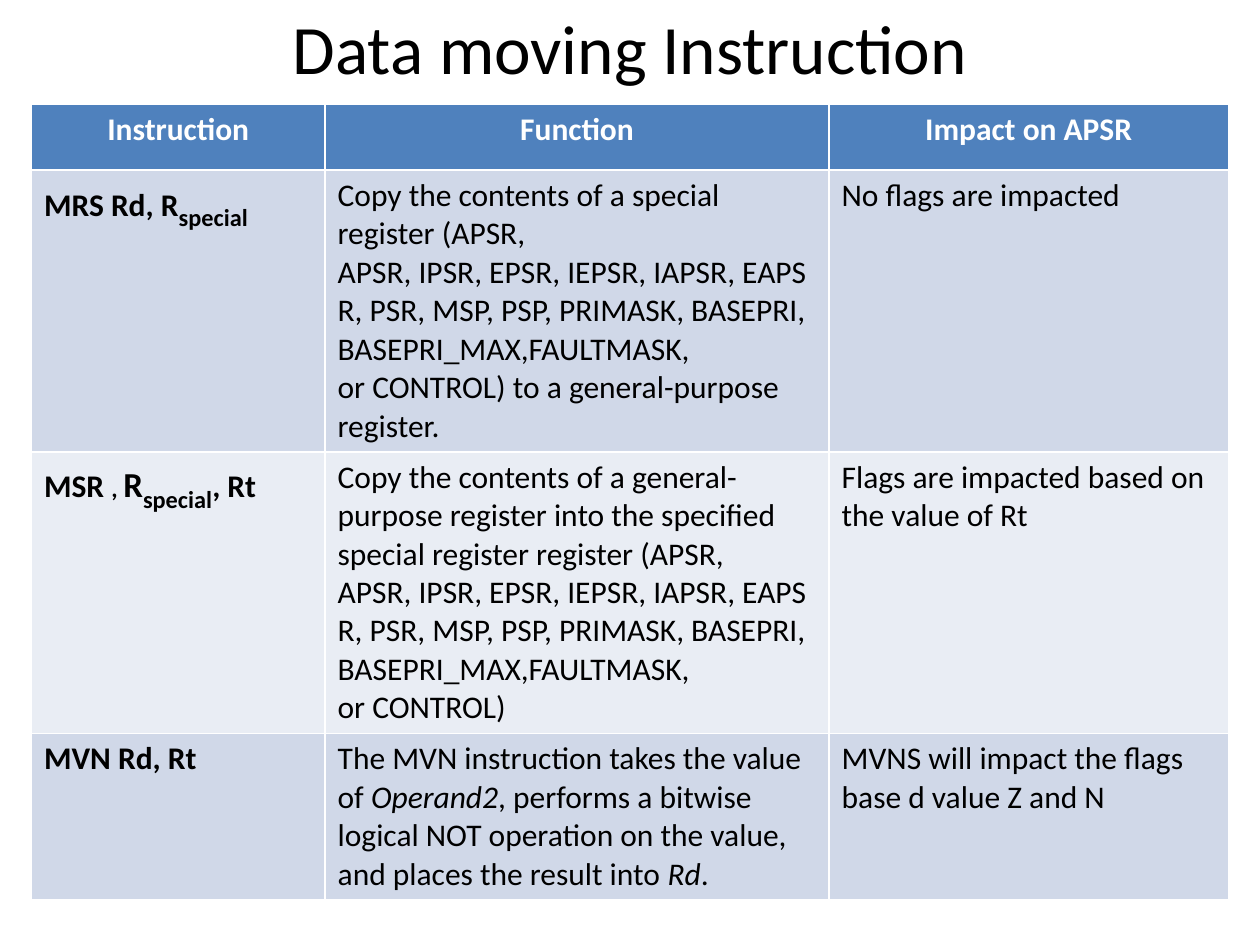
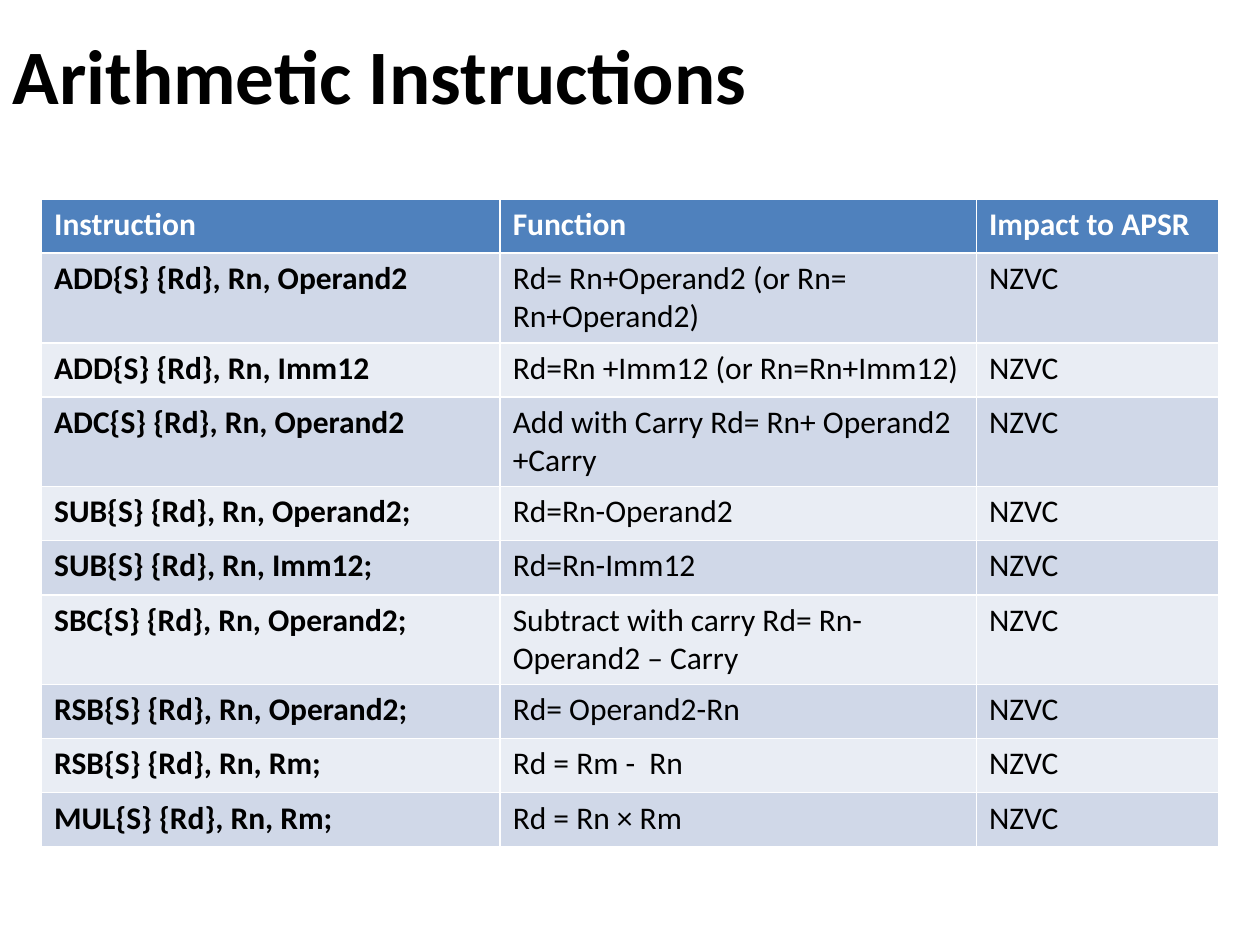
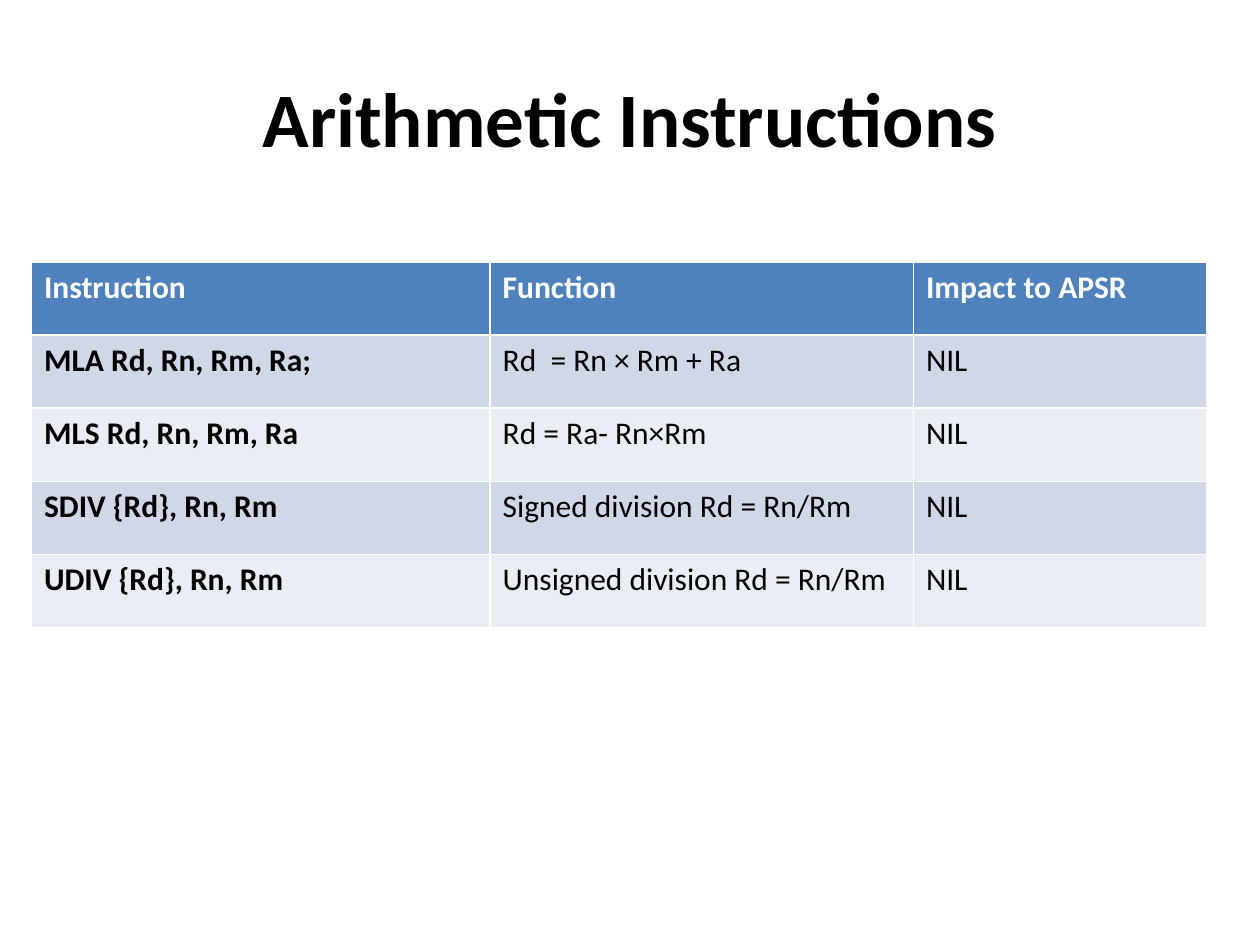
import pptx
import pptx.util
import pptx.dml.color
import pptx.enum.text

Inches = pptx.util.Inches
Pt = pptx.util.Pt
ALIGN = pptx.enum.text.PP_ALIGN

COLORS = {"header": "4F81BD", "odd": "D0D8E8", "even": "E9EDF4", "text": "000000", "header_text": "FFFFFF"}
FONT = "Calibri"
BODY_SIZE = 18
NBSP = chr(160)

SPECIAL = ("special", {"size": 24, "baseline": -25})
ITALIC = {"italic": True}
REGISTERS = ["APSR", "IPSR", "EPSR", "IEPSR", "IAPSR", "EAPSR", "PSR", "MSP", "PSP",
             "PRIMASK", "BASEPRI", "BASEPRI_MAX,FAULTMASK"]
REGISTER_LIST = f"(APSR, {f',{NBSP}'.join(REGISTERS)}, or{NBSP}CONTROL)"

MOVING = [
    ["Instruction", "Function", "Impact on APSR"],
    [["MRS Rd, R", SPECIAL],
     f"Copy the contents of a special register {REGISTER_LIST} to a general-purpose register.",
     "No flags are impacted"],
    [["MSR ", (", ", {"size": 14}), ("R", {"size": 20}), SPECIAL, ", Rt"],
     f"Copy the contents of a general-purpose register into the specified special register register {REGISTER_LIST}",
     "Flags are impacted based on the value of Rt"],
    ["MVN Rd, Rt",
     [f"The{NBSP}MVN{NBSP}instruction takes the value of{NBSP}", ("Operand2", ITALIC),
      f", performs a bitwise logical NOT operation on the value, and places the result into{NBSP}",
      ("Rd", ITALIC), "."],
     "MVNS will impact the flags base d value Z and N"],
]

ARITHMETIC_HEADER = ["Instruction", "Function", "Impact to APSR"]
FLAGGED = [
    ("ADD{S} {Rd}, Rn, Operand2", "Rd= Rn+Operand2 (or Rn= Rn+Operand2)"),
    ("ADD{S} {Rd}, Rn, Imm12", "Rd=Rn +Imm12 (or Rn=Rn+Imm12)"),
    ("ADC{S} {Rd}, Rn, Operand2", "Add with Carry Rd= Rn+ Operand2 +Carry"),
    ("SUB{S} {Rd}, Rn, Operand2;", "Rd=Rn-Operand2"),
    ("SUB{S} {Rd}, Rn, Imm12;", "Rd=Rn-Imm12"),
    ("SBC{S} {Rd}, Rn, Operand2;", "Subtract with carry Rd= Rn-Operand2 – Carry"),
    ("RSB{S} {Rd}, Rn, Operand2;", "Rd= Operand2-Rn"),
    ("RSB{S} {Rd}, Rn, Rm;", "Rd = Rm -  Rn"),
    ("MUL{S} {Rd}, Rn, Rm;", "Rd = Rn × Rm"),
]
UNFLAGGED = [
    ("MLA Rd, Rn, Rm, Ra;", "Rd  = Rn × Rm + Ra"),
    ("MLS Rd, Rn, Rm, Ra", "Rd = Ra- Rn×Rm"),
    ("SDIV {Rd}, Rn, Rm", "Signed division Rd = Rn/Rm"),
    ("UDIV {Rd}, Rn, Rm", "Unsigned division Rd = Rn/Rm"),
]

SLIDES = [
    {"title": "Data moving Instruction", "title_box": (0.5, 0, 9, 0.75), "title_size": 39.6,
     "title_bold": False, "title_align": ALIGN.CENTER, "header_align": ALIGN.CENTER,
     "rows": MOVING, "origin": (0.25, 0.83), "columns": (2.33, 4, 3.17), "row_height": 0.52},
    {"title": "Arithmetic Instructions", "title_box": (0, 0, 7.33, 1.17), "title_size": 44,
     "title_bold": True, "title_align": ALIGN.LEFT, "header_align": ALIGN.LEFT,
     "rows": [ARITHMETIC_HEADER] + [[*row, "NZVC"] for row in FLAGGED],
     "origin": (0.33, 1.58), "columns": (3.64, 3.78, 1.92), "row_height": 0.43},
    {"title": "Arithmetic Instructions", "title_box": (0.5, 0.3, 9, 1.25), "title_size": 44,
     "title_bold": True, "title_align": ALIGN.CENTER, "header_align": ALIGN.LEFT,
     "rows": [ARITHMETIC_HEADER] + [[*row, "NIL"] for row in UNFLAGGED],
     "origin": (0.25, 2.08), "columns": (3.64, 3.36, 2.33), "row_height": 0.58},
]


def rgb(name):
    return pptx.dml.color.RGBColor.from_string(COLORS[name])


def add_run(p, text, size=BODY_SIZE, color="text", bold=False, italic=False, baseline=0):
    r = p.add_run()
    r.text = text
    r.font.name = FONT
    r.font.size = Pt(size)
    r.font.bold = bold
    r.font.italic = italic
    r.font.color.rgb = rgb(color)
    if baseline:
        r._r.get_or_add_rPr().set("baseline", str(baseline * 1000))


def add_title(s, content):
    sp = s.shapes.title
    sp.left, sp.top, sp.width, sp.height = map(Inches, content["title_box"])
    tf = sp.text_frame
    tf.auto_size = pptx.enum.text.MSO_AUTO_SIZE.NONE
    tf.vertical_anchor = pptx.enum.text.MSO_ANCHOR.MIDDLE
    p = tf.paragraphs[0]
    p.alignment = content["title_align"]
    add_run(p, content["title"], content["title_size"], bold=content["title_bold"])


def fill_cell(cell, runs, fill, align, color, bold):
    cell.fill.solid()
    cell.fill.fore_color.rgb = rgb(fill)
    p = cell.text_frame.paragraphs[0]
    p.alignment = align
    for run in [runs] if isinstance(runs, str) else runs:
        text, style = (run, {}) if isinstance(run, str) else run
        add_run(p, text, color=color, bold=bold, **style)


def add_instruction_table(s, content):
    rows, columns = content["rows"], content["columns"]
    left, top = content["origin"]
    height = content["row_height"]
    table = s.shapes.add_table(len(rows), len(columns), Inches(left), Inches(top),
                               Inches(sum(columns)), Inches(height * len(rows))).table
    for column, width in zip(table.columns, columns):
        column.width = Inches(width)
    for i, row in enumerate(rows):
        table.rows[i].height = Inches(height)
        header = i == 0
        fill = "header" if header else "odd" if i % 2 else "even"
        align = content["header_align"] if header else ALIGN.LEFT
        color = "header_text" if header else "text"
        for j, runs in enumerate(row):
            fill_cell(table.cell(i, j), runs, fill, align, color, header or j == 0)


def main():
    prs = pptx.Presentation()
    prs.slide_width, prs.slide_height = Inches(10), Inches(7.5)
    for content in SLIDES:
        s = prs.slides.add_slide(prs.slide_layouts[5])
        add_title(s, content)
        add_instruction_table(s, content)
    prs.save("out.pptx")


if __name__ == "__main__":
    main()
